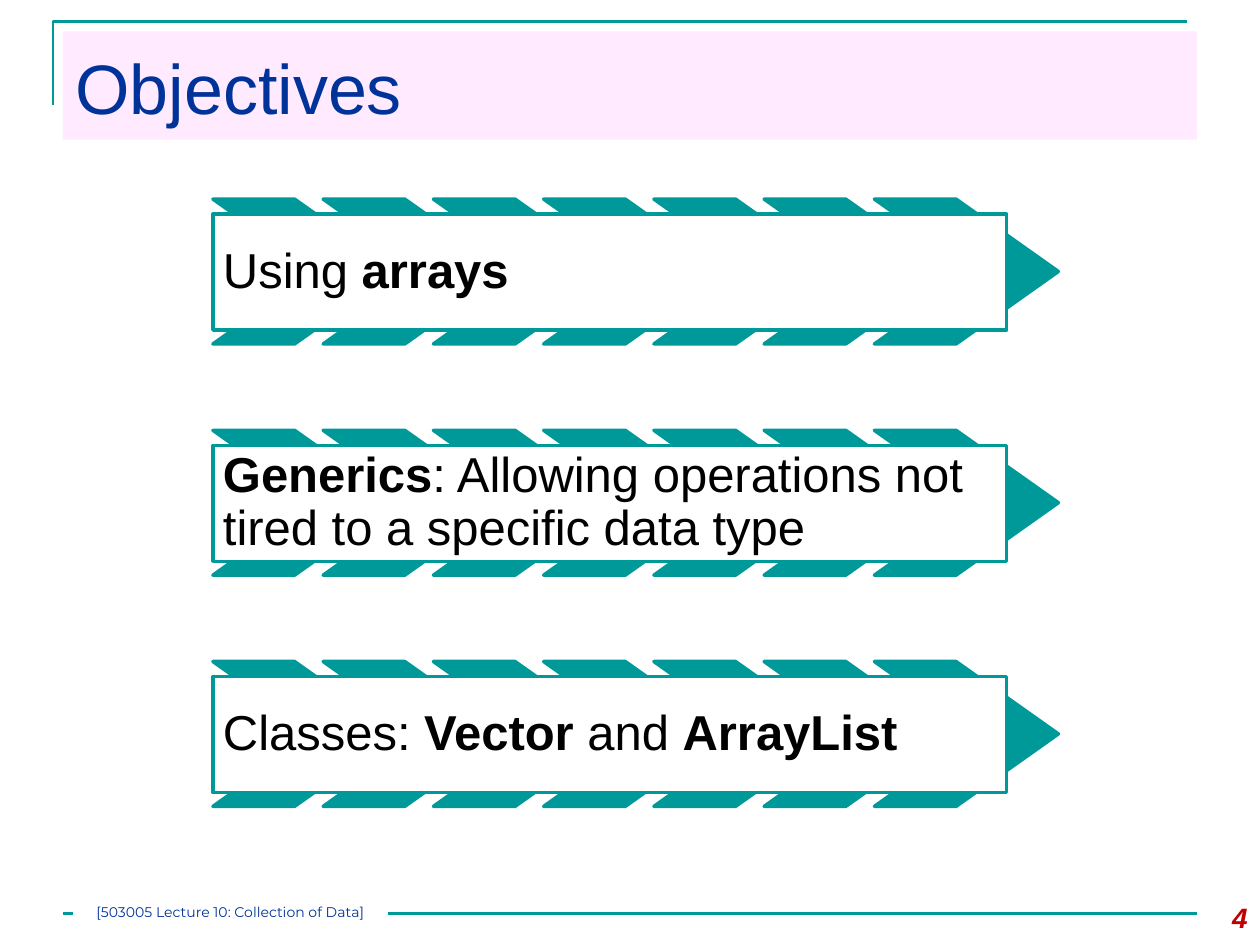
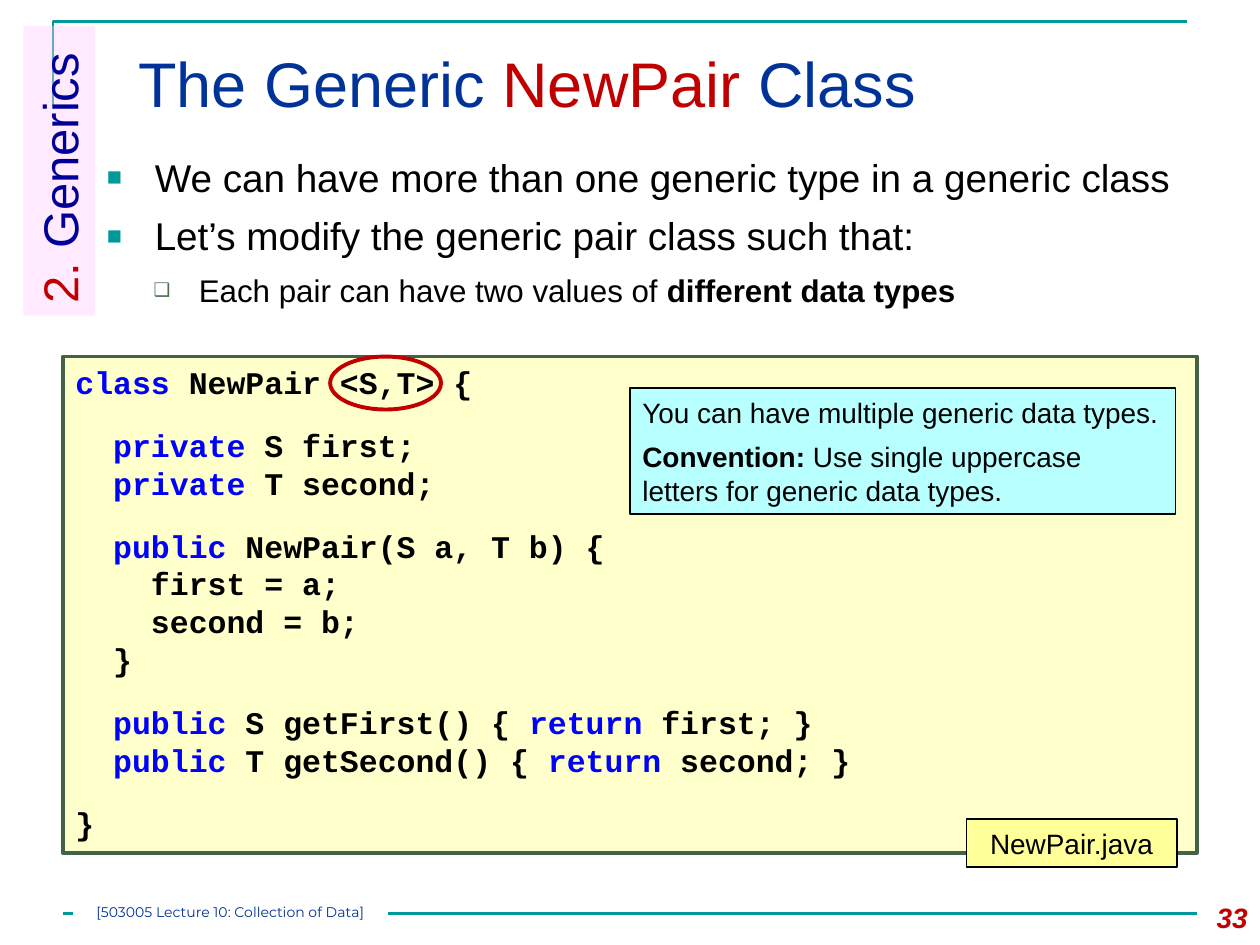
from pptx import Presentation
from pptx.dml.color import RGBColor
from pptx.enum.shapes import MSO_CONNECTOR as Connector, MSO_SHAPE as Preset
from pptx.enum.text import MSO_ANCHOR as Anchor, PP_ALIGN as Align
from pptx.oxml.ns import qn
from pptx.util import Inches, Pt
from lxml.etree import SubElement

TEAL = RGBColor(0x00, 0x99, 0x99)
NAVY = RGBColor(0x00, 0x33, 0x99)
INDIGO = RGBColor(0x00, 0x00, 0x99)
RED = RGBColor(0xC0, 0x00, 0x00)
PINK = RGBColor(0xFF, 0xCC, 0xFF)
WHITE = RGBColor(0xFF, 0xFF, 0xFF)
BLACK = RGBColor(0x00, 0x00, 0x00)
KEYWORD_BLUE = RGBColor(0x00, 0x00, 0xFF)
CREAM = RGBColor(0xFF, 0xFF, 0xCC)
YELLOW = RGBColor(0xFF, 0xFF, 0x99)
CYAN = RGBColor(0xB8, 0xFF, 0xFF)
DARK_GREEN = RGBColor(0x44, 0x62, 0x46)
BULLET_GREEN = RGBColor(0x4C, 0x6D, 0x4E)

BODY_FONT = "Arial"
CODE_FONT = "Courier New"
FOOTER_FONT = "Montserrat"
FOOTER = "[503005 Lecture 10: Collection of Data]"
TITLE_HEIGHT = 0.86

OBJECTIVES = [
    [("Using ", False), ("arrays", True)],
    [("Generics", True), (": Allowing operations not tired to a specific data type", False)],
    [("Classes: ", False), ("Vector", True), (" and ", False), ("ArrayList", True)],
]

CODE_KEYWORDS = ("class", "private", "public", "return")
CODE_BLOCKS = [
    [(0, "class NewPair <S,T> {")],
    [(1, "private S first;"), (1, "private T second;")],
    [(1, "public NewPair(S a, T b) {"), (2, "first = a;"), (2, "second = b;"), (1, "}")],
    [(1, "public S getFirst() { return first; }"),
     (1, "public T getSecond() { return second; }")],
    [(0, "}")],
]


def add_box(slide, box, fill=None, line=None, width=1, preset=Preset.RECTANGLE, alpha=None):
    shape = slide.shapes.add_shape(preset, *map(Inches, box))
    shape.shadow.inherit = False
    if fill is None:
        shape.fill.background()
    else:
        shape.fill.solid()
        shape.fill.fore_color.rgb = fill
    if alpha is not None:
        color = shape.fill._xPr.find(qn("a:solidFill"))[0]
        SubElement(color, qn("a:alpha"), val=str(alpha * 1000))
    if line is None:
        shape.line.fill.background()
    else:
        shape.line.color.rgb = line
        shape.line.width = Pt(width)
    return shape


def prepare_text(shape, anchor=Anchor.TOP, margins=(0.1, 0.05, 0.1, 0.05)):
    frame = shape.text_frame
    frame.word_wrap = True
    frame.vertical_anchor = anchor
    (frame.margin_left, frame.margin_top,
     frame.margin_right, frame.margin_bottom) = map(Inches, margins)
    return frame


def add_paragraph(frame, align=Align.LEFT, before=0, after=0):
    first = frame.paragraphs[0]
    paragraph = frame.add_paragraph() if first.runs else first
    paragraph.alignment = align
    paragraph.space_before = Pt(before)
    paragraph.space_after = Pt(after)
    return paragraph


def add_run(paragraph, text, size, color=BLACK, bold=False, italic=False, font=BODY_FONT):
    run = paragraph.add_run()
    run.text = text
    run.font.size = Pt(size)
    run.font.name = font
    run.font.color.rgb = color
    run.font.bold = bold
    run.font.italic = italic


def set_indent(paragraph, left, first=0):
    properties = paragraph._p.get_or_add_pPr()
    properties.set("marL", str(Inches(left)))
    properties.set("indent", str(Inches(first)))
    return properties


def add_bullet(paragraph, symbol, color, percent, left, hanging):
    properties = set_indent(paragraph, left, -hanging)
    bullet_color = SubElement(properties, qn("a:buClr"))
    SubElement(bullet_color, qn("a:srgbClr"), val=str(color))
    SubElement(properties, qn("a:buSzPct"), val=str(percent * 1000))
    SubElement(properties, qn("a:buFont"), typeface=BODY_FONT)
    SubElement(properties, qn("a:buChar"), char=symbol)


def add_frame_lines(slide):
    builder = slide.shapes.build_freeform(Inches(0.42), Inches(0.83))
    builder.add_line_segments(
        [(Inches(0.42), Inches(0.17)), (Inches(9.42), Inches(0.17))], close=False)
    corner = builder.convert_to_shape()
    corner.shadow.inherit = False
    corner.fill.background()
    rule = slide.shapes.add_connector(
        Connector.STRAIGHT, Inches(0.5), Inches(7.25), Inches(9.5), Inches(7.25))
    SubElement(rule._element.spPr, qn("a:effectLst"))
    for line in (corner.line, rule.line):
        line.color.rgb = TEAL
        line.width = Pt(1.5)


def add_footer(slide, number):
    label = add_box(slide, (0.58, 7.17, 2.5, 0.17), WHITE)
    paragraph = add_paragraph(prepare_text(label, margins=(0, 0, 0, 0)), Align.CENTER)
    add_run(paragraph, FOOTER, 8, NAVY, font=FOOTER_FONT)
    page = slide.shapes.add_textbox(*map(Inches, (9.33, 7.1, 0.67, 0.4)))
    paragraph = add_paragraph(prepare_text(page), Align.RIGHT)
    add_run(paragraph, str(number), 16, RED, bold=True, italic=True)


def add_title(slide, left, width, runs, size, fill=None):
    title = add_box(slide, (left, 0.25, width, TITLE_HEIGHT), fill, alpha=40 if fill else None)
    paragraph = add_paragraph(prepare_text(title, margins=(0.1, 0.1, 0.1, 0.05)))
    for text, color in runs:
        add_run(paragraph, text, size, color)


def start_slide(presentation, number):
    slide = presentation.slides.add_slide(presentation.slide_layouts[6])
    add_frame_lines(slide)
    add_footer(slide, number)
    return slide


def add_objective(slide, left, top, runs):
    for index in range(7):
        chevron = add_box(slide, (left + index * 0.875, top, 1.46, 1.15),
                          TEAL, TEAL, 2, Preset.CHEVRON)
        chevron.adjustments[0] = 0.706
    panel = add_box(slide, (left, top + 0.12, 6.3, 0.92), WHITE, TEAL, 2)
    paragraph = add_paragraph(prepare_text(panel, Anchor.MIDDLE, (0.08,) * 4))
    paragraph.line_spacing = 0.9
    for text, bold in runs:
        add_run(paragraph, text, 28, bold=bold)


def build_objectives(presentation):
    slide = start_slide(presentation, 4)
    add_title(slide, 0.5, 9, [("Objectives", NAVY)], 40, PINK)
    for index, runs in enumerate(OBJECTIVES):
        add_objective(slide, 1.69, 1.58 + index * 1.835, runs)


def add_points(slide, box):
    frame = prepare_text(slide.shapes.add_textbox(*map(Inches, box)))
    for text in ("We can have more than one generic type in a generic class",
                 "Let’s modify the generic pair class such that:"):
        paragraph = add_paragraph(frame, before=7)
        add_bullet(paragraph, "■", TEAL, 65, 0.38, 0.38)
        add_run(paragraph, text, 22.1)
    paragraph = add_paragraph(frame, before=7)
    add_bullet(paragraph, "❑", BULLET_GREEN, 60, 0.73, 0.36)
    add_run(paragraph, "Each pair can have two values of ", 17.9)
    add_run(paragraph, "different data types", 17.9, bold=True)


def add_code_line(frame, level, text, before):
    paragraph = add_paragraph(frame, before=before)
    set_indent(paragraph, level * 0.3)
    words = text.split(" ")
    for index, word in enumerate(words):
        color = KEYWORD_BLUE if word in CODE_KEYWORDS else BLACK
        ending = " " if index < len(words) - 1 else ""
        add_run(paragraph, word + ending, 18, color, bold=True, font=CODE_FONT)


def add_code_panel(slide, left, top, width, height):
    panel = add_box(slide, (left, top, width, height), CREAM, DARK_GREEN, 2)
    frame = prepare_text(panel)
    for block_index, block in enumerate(CODE_BLOCKS):
        for line_index, (level, text) in enumerate(block):
            starts_block = block_index > 0 and line_index == 0
            add_code_line(frame, level, text, 14.4 if starts_block else 0)

    file_label = add_box(slide, (left + 7.17, top + 3.67, 1.67, 0.38), YELLOW, BLACK)
    paragraph = add_paragraph(prepare_text(file_label, Anchor.MIDDLE), Align.CENTER)
    add_run(paragraph, "NewPair.java", 16)

    note = add_box(slide, (left + 4.5, top + 0.25, 4.33, 1), CYAN, BLACK)
    frame = prepare_text(note, Anchor.MIDDLE)
    paragraph = add_paragraph(frame, after=6)
    add_run(paragraph, "You can have multiple generic data types.", 16)
    paragraph = add_paragraph(frame, after=6)
    add_run(paragraph, "Convention: ", 16, bold=True)
    add_run(paragraph, "Use single uppercase letters for generic data types.", 16)

    add_box(slide, (left + 2.12, top, 0.88, 0.42), line=RED, width=2.25, preset=Preset.OVAL)


def add_section_tab(slide, box):
    tab = add_box(slide, box, PINK, alpha=40)
    tab.rotation = 270
    paragraph = add_paragraph(prepare_text(tab))
    add_run(paragraph, "2.", 28, RED)
    add_run(paragraph, " Generics", 28, INDIGO)


def build_generic_class(presentation):
    slide = start_slide(presentation, 33)
    add_title(slide, 1, 8.5,
              [("The Generic ", NAVY), ("NewPair ", RED), ("Class", NAVY)], 36)
    add_points(slide, (0.75, 1.17, 8.75, 1.33))
    add_code_panel(slide, 0.5, 2.83, 9, 3.94)
    add_section_tab(slide, (-0.68, 1.07, 2.3, 0.57))


def main():
    presentation = Presentation()
    presentation.slide_width = Inches(10)
    presentation.slide_height = Inches(7.5)
    build_objectives(presentation)
    build_generic_class(presentation)
    presentation.save("out.pptx")


if __name__ == "__main__":
    main()
